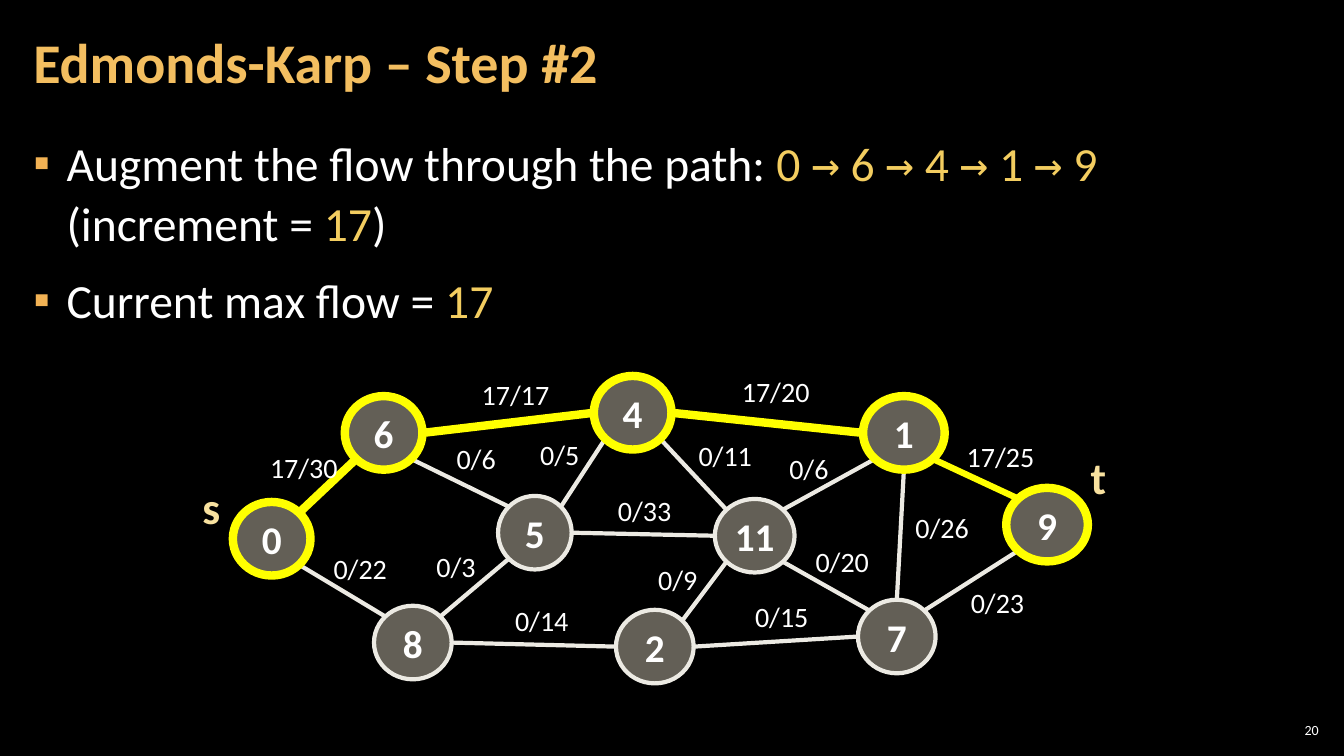
from math import cos, radians, sin

from lxml.etree import SubElement
from pptx import Presentation
from pptx.dml.color import RGBColor
from pptx.enum.shapes import MSO_CONNECTOR as Connector, MSO_SHAPE as Preset
from pptx.enum.text import MSO_ANCHOR as Anchor, PP_ALIGN as Align
from pptx.oxml.ns import qn
from pptx.util import Inches, Pt

WHITE, AMBER, YELLOW, IVORY, STONE = "FFFFFF", "F3CD60", "FFFF00", "ECEAE3", "C7BFAC"
BODY_FONT, ARROW_FONT = "Calibri", "DejaVu Sans Mono"
PATH = ["0", "6", "4", "1", "9"]
NODE_HEIGHT = 0.73
# Node name: left, top, width inside the graph box
NODES = {
    "0": (0.40, 1.31, 0.77), "6": (1.51, 0.26, 0.77), "4": (3.98, 0.06, 0.77),
    "1": (6.65, 0.26, 0.81), "9": (8.07, 1.17, 0.81), "5": (3.03, 1.25, 0.73),
    "11": (5.18, 1.28, 0.79), "8": (1.80, 2.34, 0.77), "2": (4.20, 2.38, 0.77),
    "7": (6.60, 2.28, 0.77),
}
ANGLES = {"E": 0, "SE": 45, "S": 90, "SW": 135, "W": 180, "NW": 225, "N": 270, "NE": 315}
# Start node and side, end node and side, line width, flow/capacity, label left and top
EDGES = [
    ("0", "NE", "6", "SW", 6, "17/30", 0.67, 0.75),
    ("6", "E", "4", "W", 6, "17/17", 2.77, 0.03),
    ("4", "E", "1", "W", 6, "17/20", 5.35, 0),
    ("1", "SE", "9", "NW", 4.5, "17/25", 7.58, 0.64),
    ("0", "SE", "8", "NW", 3, "0/22", 1.30, 1.75),
    ("6", "SE", "5", "NW", 3, "0/6", 2.52, 0.66),
    ("4", "SW", "5", "NE", 3, "0/5", 3.35, 0.62),
    ("4", "SE", "11", "NW", 3, "0/11", 4.92, 0.63),
    ("5", "E", "11", "W", 3, "0/33", 4.12, 1.18),
    ("5", "SW", "8", "NE", 3, "0/3", 2.32, 1.73),
    ("8", "E", "2", "W", 3, "0/14", 3.10, 2.27),
    ("2", "NE", "11", "SW", 3, "0/9", 4.52, 1.86),
    ("2", "E", "7", "W", 3, "0/15", 5.48, 2.23),
    ("11", "NE", "1", "SW", 3, "0/6", 5.82, 0.76),
    ("11", "SE", "7", "NW", 3, "0/20", 6.08, 1.68),
    ("1", "S", "7", "N", 3, "0/26", 7.07, 1.35),
    ("7", "NE", "9", "SW", 3, "0/23", 7.62, 2.09),
]


def color(hex_string):
    return RGBColor.from_string(hex_string)


def add_run(paragraph, text, size, hex_color=WHITE, bold=False, font=BODY_FONT):
    run = paragraph.add_run()
    run.text = text
    run.font.size = Pt(size)
    run.font.bold = bold
    run.font.name = font
    run.font.color.rgb = color(hex_color)


def set_margins(frame, horizontal, vertical):
    frame.margin_left = frame.margin_right = Inches(horizontal)
    frame.margin_top = frame.margin_bottom = Inches(vertical)


def add_text_box(slide, left, top, width, height):
    box = slide.shapes.add_textbox(Inches(left), Inches(top), Inches(width), Inches(height))
    return box.text_frame


def add_title(slide, left, top, width, height):
    title = slide.shapes.title
    title.left, title.top = Inches(left), Inches(top)
    title.width, title.height = Inches(width), Inches(height)
    frame = title.text_frame
    set_margins(frame, 0.12, 0.04)
    frame.vertical_anchor = Anchor.MIDDLE
    paragraph = frame.paragraphs[0]
    paragraph.alignment = Align.LEFT
    paragraph.line_spacing = 0.9
    add_run(paragraph, "Edmonds-Karp – Step #2", 40, "F3BE60", bold=True)


def format_bullet(paragraph):
    paragraph.line_spacing = 1.05
    paragraph.space_before = paragraph.space_after = Pt(6)
    properties = paragraph._p.get_or_add_pPr()
    properties.set("marL", str(Inches(0.33)))
    properties.set("indent", str(-Inches(0.33)))
    bullet_color = SubElement(properties, qn("a:buClr"))
    SubElement(bullet_color, qn("a:srgbClr"), val="F2B254")
    SubElement(properties, qn("a:buFont"), typeface="Arial")
    SubElement(properties, qn("a:buChar"), char="▪")


def add_bullets(slide, left, top, width, height):
    frame = add_text_box(slide, left, top, width, height)
    frame.word_wrap = True
    set_margins(frame, 0.12, 0.04)
    augment, current = frame.paragraphs[0], frame.add_paragraph()
    for paragraph in (augment, current):
        format_bullet(paragraph)

    add_run(augment, "Augment the flow through the path: ", 34)
    add_run(augment, PATH[0], 34, AMBER)
    for node in PATH[1:]:
        add_run(augment, " ", 34, AMBER)
        add_run(augment, "→", 34, AMBER, font=ARROW_FONT)
        add_run(augment, f" {node}", 34, AMBER)
    add_run(augment, " (increment = ", 34)
    add_run(augment, "17", 34, AMBER)
    add_run(augment, ")", 34)

    add_run(current, "Current max flow = ", 34)
    add_run(current, "17", 34, AMBER)


def rim_point(node, side):
    """Return the point on the node's outline that faces the given side."""
    left, top, width = NODES[node]
    angle = radians(ANGLES[side])
    return (left + width / 2 * (1 + cos(angle)),
            top + NODE_HEIGHT / 2 * (1 + sin(angle)))


def add_edge(slide, left, top, start, end, width):
    line = slide.shapes.add_connector(
        Connector.STRAIGHT, Inches(left + start[0]), Inches(top + start[1]),
        Inches(left + end[0]), Inches(top + end[1]))
    line.line.width = Pt(width)
    line.line.color.rgb = color(YELLOW if width > 3 else IVORY)
    SubElement(line._element.spPr, qn("a:effectLst"))


def add_node(slide, left, top, width, name):
    node = slide.shapes.add_shape(
        Preset.OVAL, Inches(left), Inches(top), Inches(width), Inches(NODE_HEIGHT))
    node.shadow.inherit = False
    node.fill.solid()
    node.fill.fore_color.rgb = color(STONE)
    fill_color = node._element.spPr.find(qn("a:solidFill")).find(qn("a:srgbClr"))
    SubElement(fill_color, qn("a:alpha"), val="50000")
    on_path = name in PATH
    node.line.width = Pt(6 if on_path else 3)
    node.line.color.rgb = color(YELLOW if on_path else IVORY)
    frame = node.text_frame
    frame.word_wrap = False
    set_margins(frame, 0.04, 0.05)
    frame.vertical_anchor = Anchor.MIDDLE
    frame.paragraphs[0].alignment = Align.CENTER
    add_run(frame.paragraphs[0], name, 28, bold=True)


def add_flow_graph(slide, left, top):
    for start, start_side, end, end_side, width, *_ in EDGES:
        add_edge(slide, left, top, rim_point(start, start_side),
                 rim_point(end, end_side), width)
    for name, (x, y, width) in NODES.items():
        add_node(slide, left + x, top + y, width, name)
    for *_, flow, x, y in EDGES:
        frame = add_text_box(slide, left + x, top + y, 0.15 + 0.15 * len(flow), 0.44)
        frame.word_wrap = False
        add_run(frame.paragraphs[0], flow, 20)
    for terminal, x, y in (("s", 0, 1.04), ("t", 8.81, 0.74)):
        frame = add_text_box(slide, left + x, top + y, 0.37, 0.64)
        frame.word_wrap = False
        add_run(frame.paragraphs[0], terminal, 32, "F8E19F", bold=True)


def add_slide_number(slide, left, top, width, height):
    frame = add_text_box(slide, left, top, width, height)
    frame.word_wrap = True
    set_margins(frame, 0.04, 0.04)
    frame.vertical_anchor = Anchor.MIDDLE
    frame.paragraphs[0].alignment = Align.RIGHT
    add_run(frame.paragraphs[0], "20", 10)


def main():
    presentation = Presentation()
    presentation.slide_width, presentation.slide_height = Inches(13.33), Inches(7.5)
    slide = presentation.slides.add_slide(presentation.slide_layouts.get_by_name("Title Only"))
    slide.background.fill.solid()
    slide.background.fill.fore_color.rgb = color("000000")
    add_title(slide, 0.21, 0.04, 10.47, 1.21)
    add_bullets(slide, 0.21, 1.26, 12.91, 6.09)
    add_flow_graph(slide, 1.91, 3.67)
    add_slide_number(slide, 12.65, 7.14, 0.47, 0.21)
    presentation.save("out.pptx")


if __name__ == "__main__":
    main()
